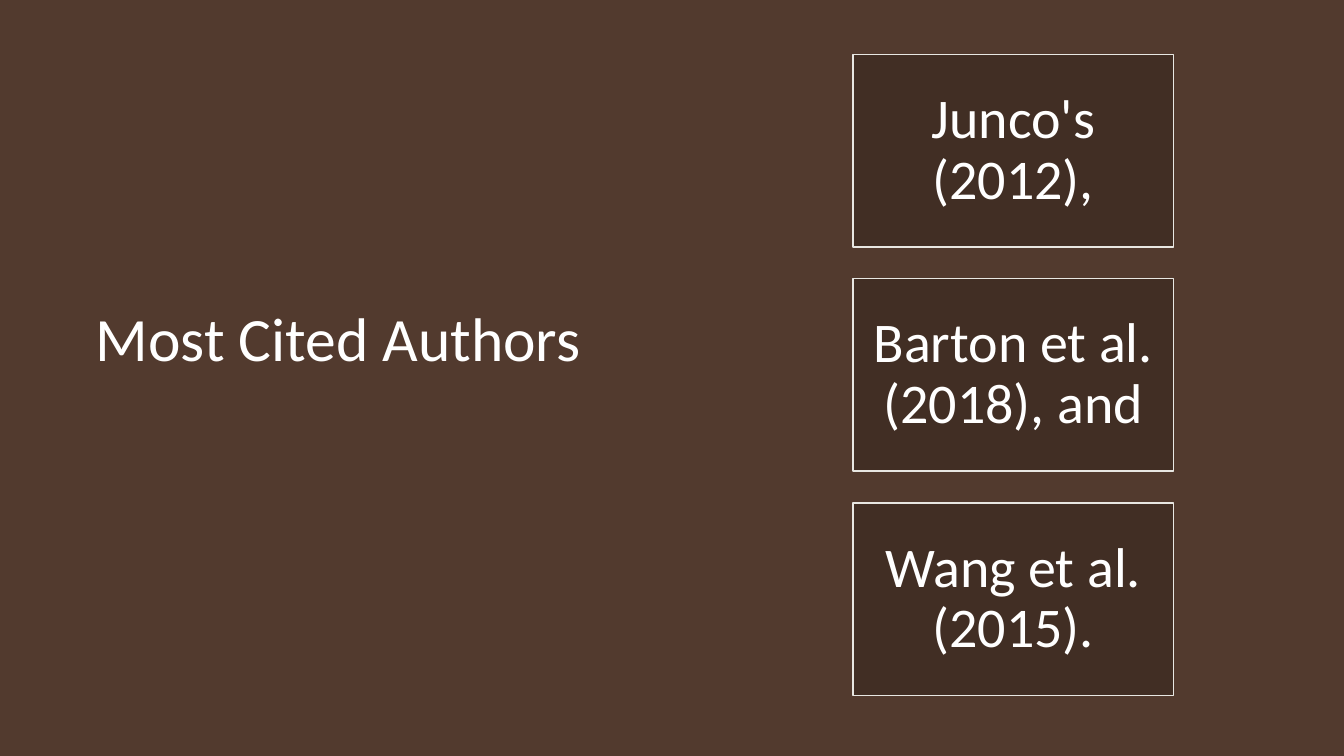
from lxml import etree
from pptx import Presentation
from pptx.dml.color import RGBColor
from pptx.enum.shapes import MSO_SHAPE as Shape
from pptx.enum.text import MSO_ANCHOR as Anchor, PP_ALIGN as Align
from pptx.oxml.ns import qn
from pptx.util import Inches, Pt

# Content
TITLE = "Most Cited Authors"
AUTHORS = ["Junco's (2012),", "Barton et al. (2018), and", "Wang et al. (2015)."]

# Look
FONT = "Calibri"
BLACK, BROWN, CARD, EDGE, WHITE = "000000", "5B4133", "412E24", "E8E7E2", "FFFFFF"
TITLE_SIZE, CARD_SIZE = 44, 40

# Layout in inches
WIDTH, HEIGHT = 13.33, 7.5
TOP, BODY_HEIGHT = 0.54, 6.36
TITLE_LEFT, TITLE_WIDTH = 0.85, 5.52
TITLE_LIFT = 0.72  # bottom inset that raises the title above the middle
CARD_LEFT, CARD_WIDTH, CARD_HEIGHT = 8.46, 3.18, 1.91
CARD_INSET = 0.17
CARD_STEP = (BODY_HEIGHT - CARD_HEIGHT) / (len(AUTHORS) - 1)


def color(value):
    return RGBColor.from_string(value)


def add_rect(slide, left, top, width, height, fill):
    rect = slide.shapes.add_shape(
        Shape.RECTANGLE, Inches(left), Inches(top), Inches(width), Inches(height))
    rect.shadow.inherit = False
    rect.fill.solid()
    rect.fill.fore_color.rgb = color(fill)
    rect.line.fill.background()
    return rect


def write(frame, text, size, align):
    frame.word_wrap = True
    frame.vertical_anchor = Anchor.MIDDLE
    frame.text = text
    paragraph = frame.paragraphs[0]
    paragraph.alignment = align
    paragraph.line_spacing = 0.9
    font = paragraph.runs[0].font
    font.name, font.size = FONT, Pt(size)
    font.color.rgb = color(WHITE)


def main():
    deck = Presentation()
    deck.slide_width, deck.slide_height = Inches(WIDTH), Inches(HEIGHT)
    slide = deck.slides.add_slide(deck.slide_layouts[6])

    # Black background under a brown tint of 90 % opacity
    slide.background.fill.solid()
    slide.background.fill.fore_color.rgb = color(BLACK)
    tint = add_rect(slide, 0, 0, WIDTH, HEIGHT, BROWN)
    tint_color = tint.fill._xPr.find(qn("a:solidFill"))[0]
    etree.SubElement(tint_color, qn("a:alpha"), val="90000")

    # Title
    title = slide.shapes.add_textbox(
        Inches(TITLE_LEFT), Inches(TOP), Inches(TITLE_WIDTH), Inches(BODY_HEIGHT))
    title.text_frame.margin_bottom = Inches(TITLE_LIFT)
    write(title.text_frame, TITLE, TITLE_SIZE, Align.LEFT)

    # Column of author cards
    for row, author in enumerate(AUTHORS):
        card = add_rect(slide, CARD_LEFT, TOP + row * CARD_STEP,
                        CARD_WIDTH, CARD_HEIGHT, CARD)
        card.line.color.rgb = color(EDGE)
        card.line.width = Pt(1)
        frame = card.text_frame
        frame.margin_left = frame.margin_right = Inches(CARD_INSET)
        frame.margin_top = frame.margin_bottom = Inches(CARD_INSET)
        write(frame, author, CARD_SIZE, Align.CENTER)

    deck.save("out.pptx")


if __name__ == "__main__":
    main()
